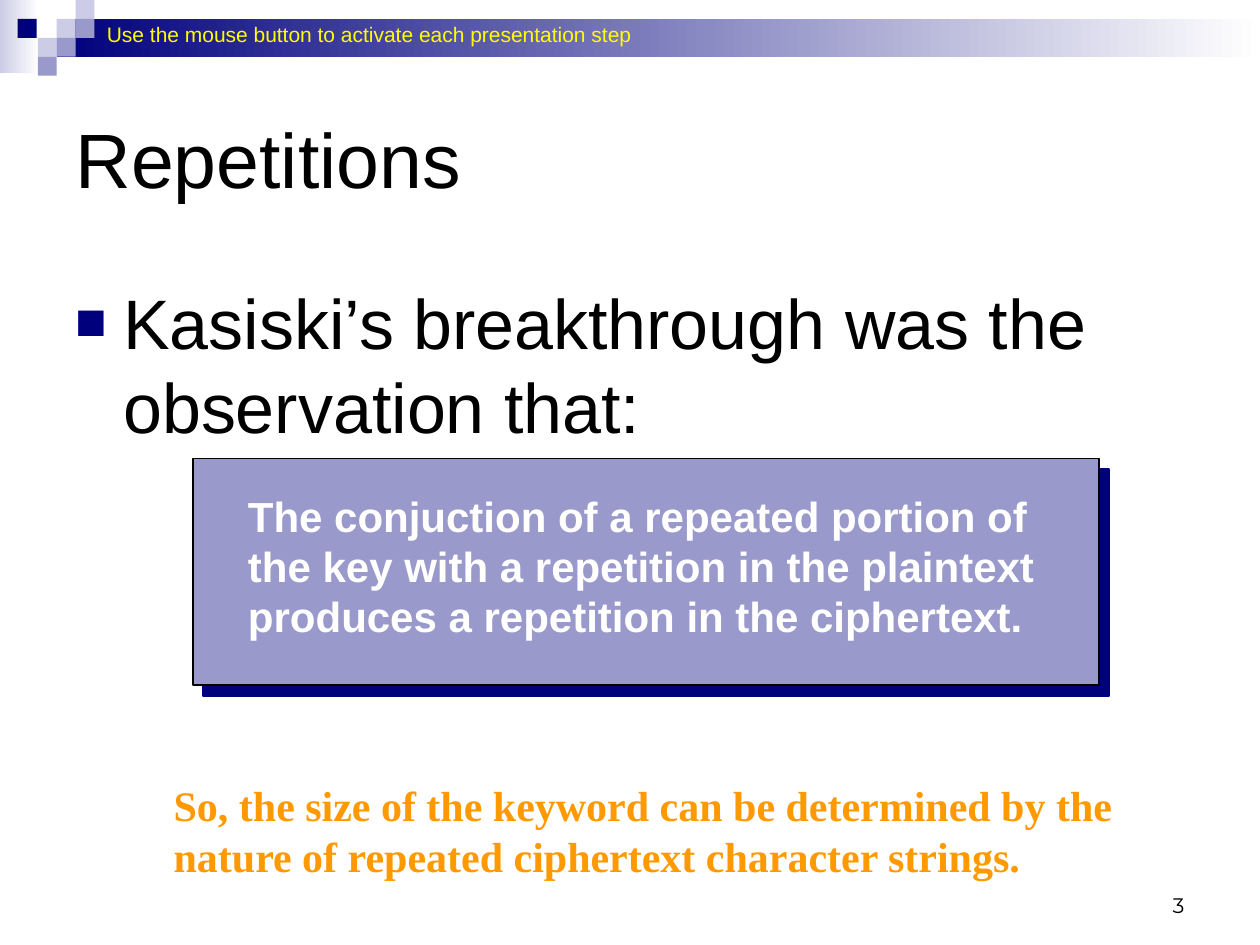
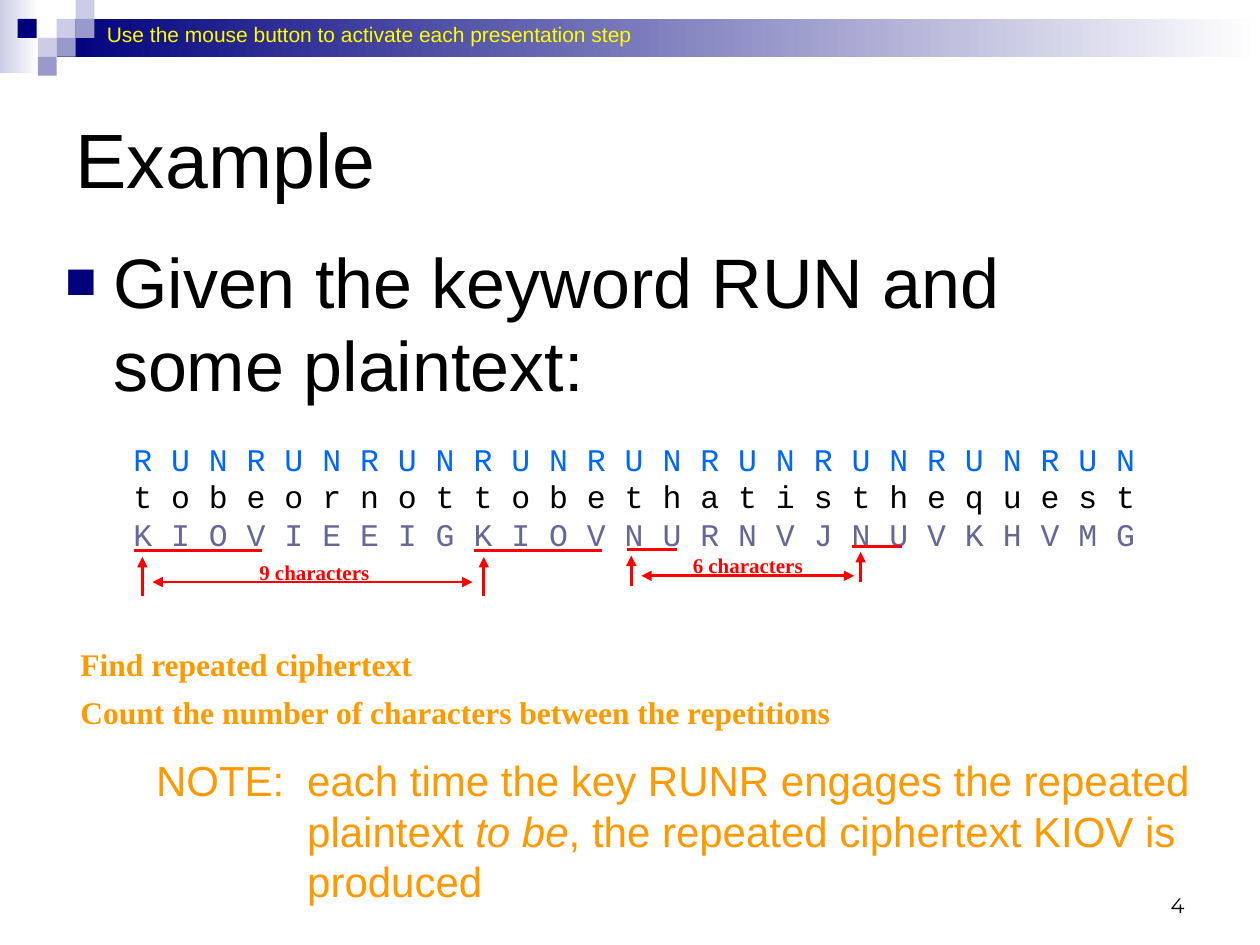
"""Build two slides on repetitions in a keyword cipher."""
from pptx import Presentation
from pptx.dml.color import RGBColor
from pptx.enum.shapes import MSO_CONNECTOR as Connector, MSO_SHAPE as Shape
from pptx.enum.text import MSO_ANCHOR as Anchor, PP_ALIGN as Align
from pptx.oxml import parse_xml
from pptx.oxml.ns import nsdecls
from pptx.util import Inches, Pt

COLORS = {
    "navy": "00007D", "lavender": "9999CC", "pale": "CCCCE6", "white": "FFFFFF",
    "black": "000000", "yellow": "FFFF00", "orange": "FF9900", "red": "FF0000",
    "blue": "0066FF", "slate": "666699",
}
RGB = {name: RGBColor.from_string(value) for name, value in COLORS.items()}
SANS, SERIF, MONO, NUMBER = "Arial", "Times New Roman", "Courier New", "Montserrat"


def write(box, lines, size, font, color, bold=False):
    """Fill a box with lines, where text between bars is italic."""
    frame = box.text_frame
    frame.word_wrap = True
    for row, line in enumerate(lines):
        para = frame.add_paragraph() if row else frame.paragraphs[0]
        para.alignment = Align.LEFT
        para.line_spacing = Pt(size * 1.2)
        for part, piece in enumerate(line.split("|")):
            span = para.add_run()
            span.text = piece
            span.font.size = Pt(size)
            span.font.name = font
            span.font.bold = bold
            span.font.italic = part % 2 == 1
            span.font.color.rgb = RGB[color]
    return frame


def draw_line(page, x1, y1, x2, y2, width=1.5, ends=()):
    """Draw a red line with arrowheads at the named ends."""
    line = page.shapes.add_connector(
        Connector.STRAIGHT, Inches(x1), Inches(y1), Inches(x2), Inches(y2))
    line.line.color.rgb = RGB["red"]
    line.line.width = Pt(width)
    outline = line.line._get_or_add_ln()
    for end in ends:
        outline.append(parse_xml(
            f'<a:{end} {nsdecls("a")} type="triangle" w="med" len="med"/>'))
    line._element.spPr.append(parse_xml(f'<a:effectLst {nsdecls("a")}/>'))


deck = Presentation()
deck.slide_width, deck.slide_height = Inches(10), Inches(7.5)

bands = [(0, 0, 0.31, 0.58, "pale"), (0.45, 0.15, 9.55, 0.3, "navy")]
squares = [
    (0.45, 0.15, "pale"), (0.6, 0, "pale"), (0.6, 0.15, "lavender"),
    (0.3, 0.3, "pale"), (0.14, 0.15, "navy"), (0.45, 0.3, "lavender"),
    (0.3, 0.45, "lavender"),
]
topics = [
    ("Repetitions", "Kasiski’s breakthrough was the observation that:", 0.5, 2.17, "3"),
    ("Example", "Given the keyword RUN and some plaintext:", 0.42, 1.84, "4"),
]
for heading, point, left, top, number in topics:
    page = deck.slides.add_slide(deck.slide_layouts[5])
    for x, y, width, height, color in bands:
        band = page.shapes.add_shape(
            Shape.RECTANGLE, Inches(x), Inches(y), Inches(width), Inches(height))
        band.shadow.inherit = False
        band.line.fill.background()
        band.fill.gradient()
        band.fill.gradient_angle = 0
        for stop, shade in zip(band.fill.gradient_stops, (color, "white")):
            stop.color.rgb = RGB[shade]
    for x, y, color in squares:
        square = page.shapes.add_shape(
            Shape.RECTANGLE, Inches(x), Inches(y), Inches(0.15), Inches(0.15))
        square.shadow.inherit = False
        square.line.fill.background()
        square.fill.solid()
        square.fill.fore_color.rgb = RGB[color]
    hint = page.shapes.add_textbox(Inches(0.75), Inches(0.12), Inches(4.6), Inches(0.3))
    write(hint, ["Use the mouse button to activate each presentation step"],
          12, SANS, "yellow")

    title = page.shapes.title
    title.left, title.top = Inches(0.5), Inches(0.5)
    title.width, title.height = Inches(9), Inches(1.5)
    write(title, [heading], 44, SANS, "black").vertical_anchor = Anchor.MIDDLE

    body = page.shapes.add_textbox(Inches(left), Inches(top), Inches(9), Inches(1.6))
    para = write(body, [point], 40, SANS, "black").paragraphs[0]
    settings = para._p.get_or_add_pPr()
    settings.set("marL", str(Inches(0.38)))
    settings.set("indent", str(-Inches(0.38)))
    for bullet in (
        f'<a:buClr {nsdecls("a")}><a:srgbClr val="{COLORS["navy"]}"/></a:buClr>',
        f'<a:buSzPct {nsdecls("a")} val="75000"/>',
        f'<a:buFont {nsdecls("a")} typeface="{SANS}"/>',
        f'<a:buChar {nsdecls("a")} char="■"/>',
    ):
        settings.append(parse_xml(bullet))

    footer = page.shapes.add_textbox(Inches(7.17), Inches(6.83), Inches(2.33), Inches(0.5))
    frame = write(footer, [number], 12, NUMBER, "black")
    frame.vertical_anchor = Anchor.BOTTOM
    frame.paragraphs[0].alignment = Align.RIGHT

repetitions, example = deck.slides

panel = repetitions.shapes.add_shape(
    Shape.RECTANGLE, Inches(1.53), Inches(3.64), Inches(7.19), Inches(1.8))
panel.fill.solid()
panel.fill.fore_color.rgb = RGB["lavender"]
panel.line.color.rgb = RGB["black"]
panel.line.width = Pt(1)
panel.shadow.inherit = False
panel._element.spPr.find("{*}effectLst").append(parse_xml(
    f'<a:outerShdw {nsdecls("a")} dist="{Pt(8.5)}" dir="2700000" algn="ctr" '
    f'rotWithShape="0"><a:srgbClr val="{COLORS["navy"]}"/></a:outerShdw>'))
finding = repetitions.shapes.add_textbox(
    Inches(1.87), Inches(3.84), Inches(6.6), Inches(1.3))
write(finding, [
    "The conjuction of a repeated portion of",
    "the key with a repetition in the plaintext",
    "produces a repetition in the ciphertext.",
], 24, SANS, "white", bold=True)
conclusion = repetitions.shapes.add_textbox(
    Inches(1.28), Inches(6.14), Inches(7.9), Inches(0.9))
write(conclusion, [
    "So, the size of the keyword can be determined by the",
    "nature of repeated ciphertext character strings.",
], 24, SERIF, "orange", bold=True)

cipher = example.shapes.add_textbox(Inches(0.96), Inches(3.44), Inches(8.5), Inches(1))
rows = [" ".join(letters) for letters in (
    "RUN" * 9, "tobeornottobethatisthequest", "KIOVIEEIGKIOVNURNVJNUVKHVMG")]
frame = write(cipher, rows, 18, MONO, "black")
for para, color in zip(frame.paragraphs, ("blue", "black", "slate")):
    para.runs[0].font.color.rgb = RGB[color]

for x, y, width in [(1.06, 4.37, 1.02), (3.76, 4.37, 1.02),
                    (4.98, 4.36, 0.39), (6.76, 4.34, 0.4)]:
    draw_line(example, x, y, x + width, y)
for x, bottom, top in [(1.13, 4.73, 4.42), (3.84, 4.73, 4.42),
                       (5.01, 4.65, 4.41), (6.83, 4.62, 4.38)]:
    draw_line(example, x, bottom, x, top, ends=["tailEnd"])
for start, end, y, width in [(1.21, 3.75, 4.62, 1), (5.09, 6.78, 4.57, 1.5)]:
    draw_line(example, start, y, end, y, width, ["headEnd", "tailEnd"])

for caption, x, y, width, height, size, color in [
    ("9 characters", 1.96, 4.39, 1.3, 0.3, 12, "red"),
    ("6 characters", 5.4, 4.34, 1.3, 0.3, 12, "red"),
    ("Find repeated ciphertext", 0.54, 5.07, 3, 0.4, 18, "orange"),
    ("Count the number of characters between the repetitions",
     0.54, 5.45, 6.4, 0.4, 18, "orange"),
]:
    box = example.shapes.add_textbox(Inches(x), Inches(y), Inches(width), Inches(height))
    write(box, [caption], size, SERIF, color, bold=True)

note = example.shapes.add_textbox(Inches(1.14), Inches(5.94), Inches(8.6), Inches(1.3))
frame = write(note, [
    "NOTE:\teach time the key RUNR engages the repeated",
    "plaintext |to be|, the repeated ciphertext KIOV is",
    "produced",
], 24, SANS, "orange")
for row, para in enumerate(frame.paragraphs):
    settings = para._p.get_or_add_pPr()
    settings.set("marL", str(Inches(1.2)))
    settings.set("indent", str(0 if row else -Inches(1.2)))

deck.save("out.pptx")
